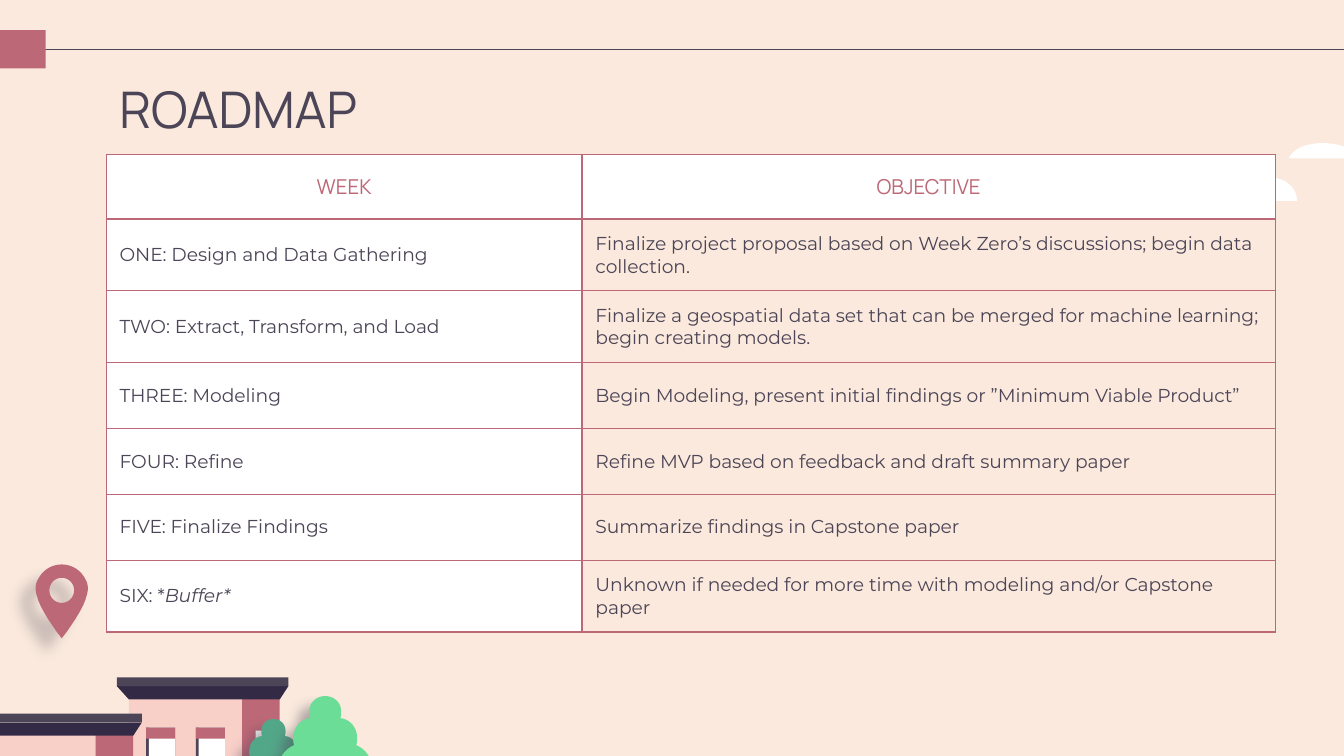
import math
from dataclasses import dataclass

from lxml import etree
from pptx import Presentation
from pptx import util as u
from pptx.dml import color as dml
from pptx.enum import shapes, text
from pptx.oxml import ns

COLUMNS, ROWS = 100, 56.25
CELL = u.Inches(0.1)


@dataclass(frozen=True)
class Theme:
    cream: str = "FAE9DC"
    ink: str = "4C4557"
    rose: str = "BD6877"
    white: str = "FFFFFF"
    night: str = "332B45"
    blush: str = "F9D0C8"
    pine: str = "53A789"
    mint: str = "6BDD96"
    heading_font: str = "Manrope"
    body_font: str = "Montserrat"
    title_size: float = 27
    header_size: float = 11
    body_size: float = 10
    line_width: float = 0.75


THEME = Theme()


@dataclass(frozen=True)
class Box:
    left: float
    top: float
    width: float
    height: float

    def point(self, x, y):
        return (round((self.left + x * self.width) * CELL),
                round((self.top + y * self.height) * CELL))

    def portion(self, x, y, width, height):
        return Box(self.left + x * self.width, self.top + y * self.height,
                   width * self.width, height * self.height)

    def emu(self):
        return [round(v * CELL) for v in (self.left, self.top, self.width, self.height)]


CLOUD = [(1, 1), (1, 1), (1, 1), (1, 0.97), (1, 0.41), (0.86, 0), (0.69, 0),
         (0.57, 0), (0.46, 0.26), (0.42, 0.61), (0.37, 0.46), (0.31, 0.38),
         (0.23, 0.38), (0.11, 0.38), (0.02, 0.65), (0, 1)]
HALF_TREE = [(0.29, 1), (0.13, 1), (0, 0.88), (0, 0.73), (0, 0.62), (0.07, 0.53),
             (0.17, 0.49), (0.16, 0.46), (0.16, 0.44), (0.16, 0.42), (0.16, 0.32),
             (0.23, 0.23), (0.34, 0.22), (0.33, 0.2), (0.33, 0.18), (0.33, 0.15),
             (0.33, 0.07), (0.4, 0), (0.5, 0)]
HALF_PIN = [(0.5, 1), (0.45, 0.95), (0.4, 0.91), (0.35, 0.85), (0.25, 0.75),
            (0.17, 0.65), (0.1, 0.55), (0.08, 0.51), (0.05, 0.47), (0.05, 0.45),
            (0, 0.36), (0, 0.27), (0.06, 0.2), (0.15, 0.07), (0.32, 0), (0.5, 0)]
EAVES = [(0, 0), (1, 0), (0.95, 1), (0.07, 1)]

ROADMAP = [
    (["ONE: Design and Data Gathering"],
     "Finalize project proposal based on Week Zero’s discussions; begin data collection."),
    (["TWO: Extract, Transform, and Load"],
     "Finalize a geospatial data set that can be merged for machine learning; begin creating models."),
    (["THREE: Modeling"],
     "Begin Modeling, present initial findings or ”Minimum Viable Product”"),
    (["FOUR: Refine"], "Refine MVP based on feedback and draft summary paper"),
    (["FIVE: Finalize Findings"], "Summarize findings in Capstone paper"),
    (["SIX: *", "Buffer*"],
     "Unknown if needed for more time with modeling and/or Capstone paper"),
]


def rgb(value):
    return dml.RGBColor.from_string(value)


def curve(knots, steps=10):
    points = [knots[0]]
    for first in range(0, len(knots) - 1, 3):
        segment = knots[first:first + 4]
        for step in range(1, steps + 1):
            t = step / steps
            weights = ((1 - t) ** 3, 3 * t * (1 - t) ** 2, 3 * t * t * (1 - t), t ** 3)
            points.append(tuple(sum(w * p[axis] for w, p in zip(weights, segment))
                                for axis in (0, 1)))
    return points


def mirrored(half):
    return half + [(1 - x, y) for x, y in reversed(half)]


def paint(shape, color):
    shape.shadow.inherit = False
    shape.fill.solid()
    shape.fill.fore_color.rgb = rgb(color)
    shape.line.fill.background()


def add_block(slide, box, color):
    paint(slide.shapes.add_shape(shapes.MSO_SHAPE.RECTANGLE, *box.emu()), color)


def add_outline(slide, box, color, *contours):
    first, *others = [[box.point(*point) for point in contour] for contour in contours]
    builder = slide.shapes.build_freeform(*first[0])
    builder.add_line_segments(first[1:])
    for contour in others:
        builder.move_to(*contour[0])
        builder.add_line_segments(contour[1:])
    shape = builder.convert_to_shape()
    paint(shape, color)
    return shape


def cast_shadow(shape, opacity, distance):
    effects = shape._element.spPr.find(ns.qn("a:effectLst"))
    shadow = etree.SubElement(
        effects, ns.qn("a:outerShdw"), blurRad=str(u.Pt(6.8)), dist=str(u.Pt(distance)),
        dir=str(138 * 60000), algn="bl", rotWithShape="0")
    color = etree.SubElement(shadow, ns.qn("a:srgbClr"), val=THEME.ink)
    etree.SubElement(color, ns.qn("a:alpha"), val=str(opacity * 1000))


def add_run(paragraph, wording, font, size, color, italic=False):
    run = paragraph.add_run()
    run.text = wording
    run.font.name, run.font.size = font, u.Pt(size)
    run.font.color.rgb = rgb(color)
    if italic:
        run.font.italic = True


def set_margins(holder):
    holder.margin_left = holder.margin_right = CELL
    holder.margin_top = holder.margin_bottom = CELL


def add_top_rule(slide, box):
    line = slide.shapes.add_connector(
        shapes.MSO_CONNECTOR.STRAIGHT, *box.point(0, 0.5), *box.point(1, 0.5))
    line.line.color.rgb = rgb(THEME.ink)
    line.line.width = u.Pt(THEME.line_width)
    etree.SubElement(line._element.spPr, ns.qn("a:effectLst"))
    add_block(slide, box.portion(0, 0, 0.034, 1), THEME.rose)


def add_cloud(slide, box):
    add_outline(slide, box, THEME.white, curve(CLOUD))


def add_house(slide, box):
    add_block(slide, box.portion(0.73, 0.07, 0.22, 0.93), THEME.rose)
    add_block(slide, box.portion(0.07, 0.07, 0.66, 0.93), THEME.blush)
    add_outline(slide, box.portion(0, 0.03, 1, 0.045), THEME.night, EAVES)
    add_block(slide, box.portion(0, 0, 1, 0.03), THEME.ink)


def add_windows(slide, box):
    side = box.portion(0.81, 0.18, 0.08, 0.1)
    add_block(slide, side, THEME.white)
    add_block(slide, side.portion(0.8, 0, 0.2, 1), THEME.blush)
    for left in (0.17, 0.46):
        window = box.portion(left, 0.17, 0.17, 0.1)
        add_block(slide, window, THEME.ink)
        add_block(slide, window.portion(0.1, 0, 0.9, 1), THEME.white)
        add_block(slide, window.portion(0, 0, 1, 0.37), THEME.rose)


def add_tree(slide, box, color):
    cast_shadow(add_outline(slide, box, color, mirrored(curve(HALF_TREE))), 41, 8.2)


def add_pin(slide, box):
    angles = [math.tau * step / 40 for step in range(40)]
    hole = [(0.5 + 0.23 * math.cos(a), 0.35 + 0.17 * math.sin(a)) for a in angles]
    pin = add_outline(slide, box, THEME.rose, mirrored(curve(HALF_PIN)), hole)
    cast_shadow(pin, 25, 11.2)


def add_title(slide, box, wording):
    frame = slide.shapes.add_textbox(*box.emu()).text_frame
    frame.word_wrap = True
    frame.vertical_anchor = text.MSO_ANCHOR.MIDDLE
    set_margins(frame)
    add_run(frame.paragraphs[0], wording, THEME.heading_font, THEME.title_size, THEME.ink)


def style_cell(cell, color):
    set_margins(cell)
    cell.vertical_anchor = text.MSO_ANCHOR.MIDDLE
    properties = cell._tc.get_or_add_tcPr()
    for side in ("lnL", "lnR", "lnT", "lnB"):
        border = etree.SubElement(properties, ns.qn(f"a:{side}"), w=str(u.Pt(THEME.line_width)))
        fill = etree.SubElement(border, ns.qn("a:solidFill"))
        etree.SubElement(fill, ns.qn("a:srgbClr"), val=THEME.rose)
    cell.fill.solid()
    cell.fill.fore_color.rgb = rgb(color)


def add_roadmap_table(slide, box):
    table = slide.shapes.add_table(len(ROADMAP) + 1, 2, *box.emu()).table
    table.first_row = table.horz_banding = False
    for column, share in zip(table.columns, (0.407, 0.593)):
        column.width = round(box.width * share * CELL)
    for row in table.rows:
        row.height = round(4.9 * CELL)
    table.rows[0].height = round(4.8 * CELL)
    for index, heading in enumerate(("WEEK", "OBJECTIVE")):
        cell = table.cell(0, index)
        style_cell(cell, THEME.white)
        paragraph = cell.text_frame.paragraphs[0]
        paragraph.alignment = text.PP_ALIGN.CENTER
        add_run(paragraph, heading, THEME.heading_font, THEME.header_size, THEME.rose)
    for number, (week, objective) in enumerate(ROADMAP, 1):
        for index, runs in enumerate((week, [objective])):
            cell = table.cell(number, index)
            style_cell(cell, (THEME.white, THEME.cream)[index])
            for position, wording in enumerate(runs):
                add_run(cell.text_frame.paragraphs[0], wording, THEME.body_font,
                        THEME.body_size, THEME.ink, italic=position > 0)


def main():
    presentation = Presentation()
    presentation.slide_width = round(COLUMNS * CELL)
    presentation.slide_height = round(ROWS * CELL)
    slide = presentation.slides.add_slide(presentation.slide_layouts[6])
    slide.background.fill.solid()
    slide.background.fill.fore_color.rgb = rgb(THEME.cream)
    add_top_rule(slide, Box(0, 2.25, COLUMNS, 2.85))
    add_cloud(slide, Box(89.9, 13.2, 6.6, 1.75))
    add_cloud(slide, Box(95.9, 9.95, 10.7, 1.85))
    back_house = Box(8.7, 50.4, 12.75, 22)
    add_house(slide, back_house)
    add_windows(slide, back_house)
    add_house(slide, Box(-2.2, 53.1, 12.75, 22))
    add_tree(slide, Box(17.7, 53.5, 5.3, 5.75), THEME.pine)
    add_tree(slide, Box(20.7, 51.8, 7, 7.45), THEME.mint)
    add_pin(slide, Box(2.6, 42, 4, 5.5))
    add_title(slide, Box(7.9, 4.9, 84.3, 6.3), "ROADMAP")
    add_roadmap_table(slide, Box(7.9, 11.5, 87, 34.2))
    presentation.save("out.pptx")


if __name__ == "__main__":
    main()
